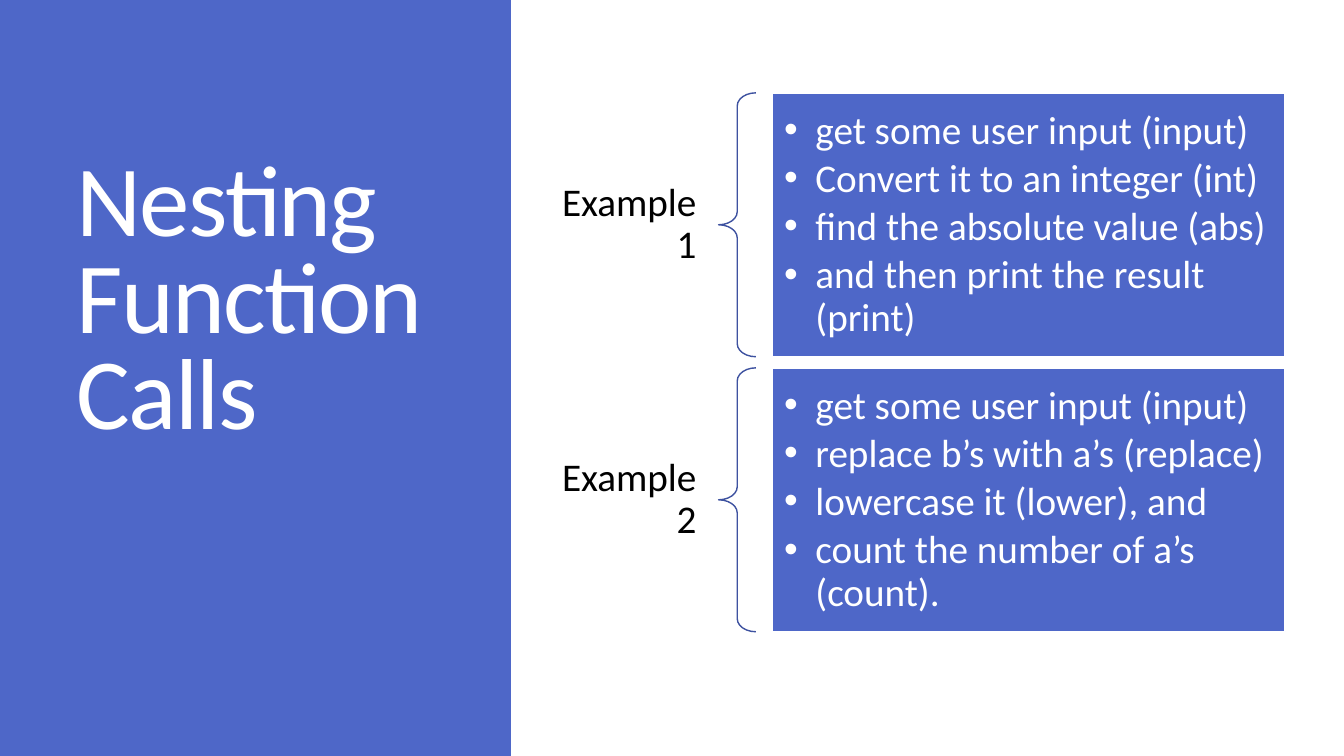
from dataclasses import dataclass

from lxml import etree
from pptx import Presentation
from pptx import util as u
from pptx.dml.color import RGBColor
from pptx.enum import shapes, text
from pptx.oxml import ns

BLUE = RGBColor(0x4E, 0x67, 0xC8)
DARK_BLUE = RGBColor(0x3E, 0x52, 0xA0)
WHITE = RGBColor(0xFF, 0xFF, 0xFF)
BLACK = RGBColor(0, 0, 0)
FONT = "Calibri"
FIRST_TOP, ROW_STEP, ROW_HEIGHT = 2.34, 6.93, 6.65
LABEL_HEIGHT = 2.59


@dataclass(frozen=True)
class Example:
    """A labelled list of steps."""

    label: str
    steps: tuple[str, ...]


EXAMPLES = (
    Example("Example 1", (
        "get some user input (input)",
        "Convert it to an integer (int)",
        "find the absolute value (abs)",
        "and then print the result (print)",
    )),
    Example("Example 2", (
        "get some user input (input)",
        "replace b’s with a’s (replace)",
        "lowercase it (lower), and",
        "count the number of a’s (count).",
    )),
)


def lengths(*values: float) -> list[u.Length]:
    """Convert centimetres to slide lengths."""
    return [u.Cm(value) for value in values]


def write(box, *lines: str, size: float = 28, color: RGBColor = WHITE,
          align=text.PP_ALIGN.LEFT, anchor=text.MSO_ANCHOR.MIDDLE,
          line_spacing: float = 0.9, space_after: float = 0, tracking: int = 0,
          bullet: bool = False, insets: tuple[float, float] = (0.25, 0.13)) -> None:
    """Write lines as the formatted paragraphs of a box."""
    frame = box.text_frame
    frame.word_wrap = True
    frame.vertical_anchor = anchor
    frame.margin_left = frame.margin_right = u.Cm(insets[0])
    frame.margin_top = frame.margin_bottom = u.Cm(insets[1])
    for index, line in enumerate(lines):
        para = frame.paragraphs[0] if index == 0 else frame.add_paragraph()
        para.alignment = align
        para.line_spacing = line_spacing
        para.space_after = u.Pt(space_after)
        span = para.add_run()
        span.text = line
        span.font.name = FONT
        span.font.size = u.Pt(size)
        span.font.color.rgb = color
        if tracking:
            span._r.get_or_add_rPr().set("spc", str(tracking))
        if bullet:
            properties = para._p.get_or_add_pPr()
            properties.set("marL", str(u.Cm(0.79)))
            properties.set("indent", str(-u.Cm(0.79)))
            font = etree.SubElement(properties, ns.qn("a:buFont"))
            font.set("typeface", "Arial")
            etree.SubElement(properties, ns.qn("a:buChar")).set("char", "•")


def add_shape(page, kind, place: list[u.Length], fill: RGBColor | None = None,
              line: RGBColor | None = None):
    """Add a flat preset shape."""
    shape = page.shapes.add_shape(kind, *place)
    shape.shadow.inherit = False
    if fill is None:
        shape.fill.background()
    else:
        shape.fill.solid()
        shape.fill.fore_color.rgb = fill
    if line is None:
        shape.line.fill.background()
    else:
        shape.line.color.rgb = line
        shape.line.width = u.Pt(1)
    return shape


def add_example(page, example: Example, top: float) -> None:
    """Draw one example with its label, brace and list of steps."""
    label_top = top + (ROW_HEIGHT - LABEL_HEIGHT) / 2
    label = page.shapes.add_textbox(*lengths(13.36, label_top, 4.75, LABEL_HEIGHT))
    write(label, example.label, color=BLACK, align=text.PP_ALIGN.RIGHT,
          insets=(0.56, 0.2))
    brace = add_shape(page, shapes.MSO_SHAPE.LEFT_BRACE,
                      lengths(18.11, top, 0.94, ROW_HEIGHT), line=DARK_BLUE)
    brace.adjustments[0] = 0.35
    panel = add_shape(page, shapes.MSO_SHAPE.RECTANGLE,
                      lengths(19.46, top, 12.93, ROW_HEIGHT), fill=BLUE, line=WHITE)
    write(panel, *example.steps, space_after=4.2, bullet=True, insets=(0.3, 0.3))


def main() -> None:
    """Build and save the deck."""
    deck = Presentation()
    deck.slide_width, deck.slide_height = lengths(33.87, 19.05)
    page = deck.slides.add_slide(deck.slide_layouts[6])
    page.background.fill.solid()
    page.background.fill.fore_color.rgb = BLUE
    add_shape(page, shapes.MSO_SHAPE.RECTANGLE, lengths(12.88, 0, 20.99, 19.05),
              fill=WHITE)
    title = page.shapes.add_textbox(*lengths(1.68, 2.13, 11.68, 9.32))
    write(title, "Nesting Function Calls", size=72, line_spacing=0.8,
          anchor=text.MSO_ANCHOR.BOTTOM, tracking=-120)
    for row, example in enumerate(EXAMPLES):
        add_example(page, example, FIRST_TOP + row * ROW_STEP)
    deck.save("out.pptx")


main()
